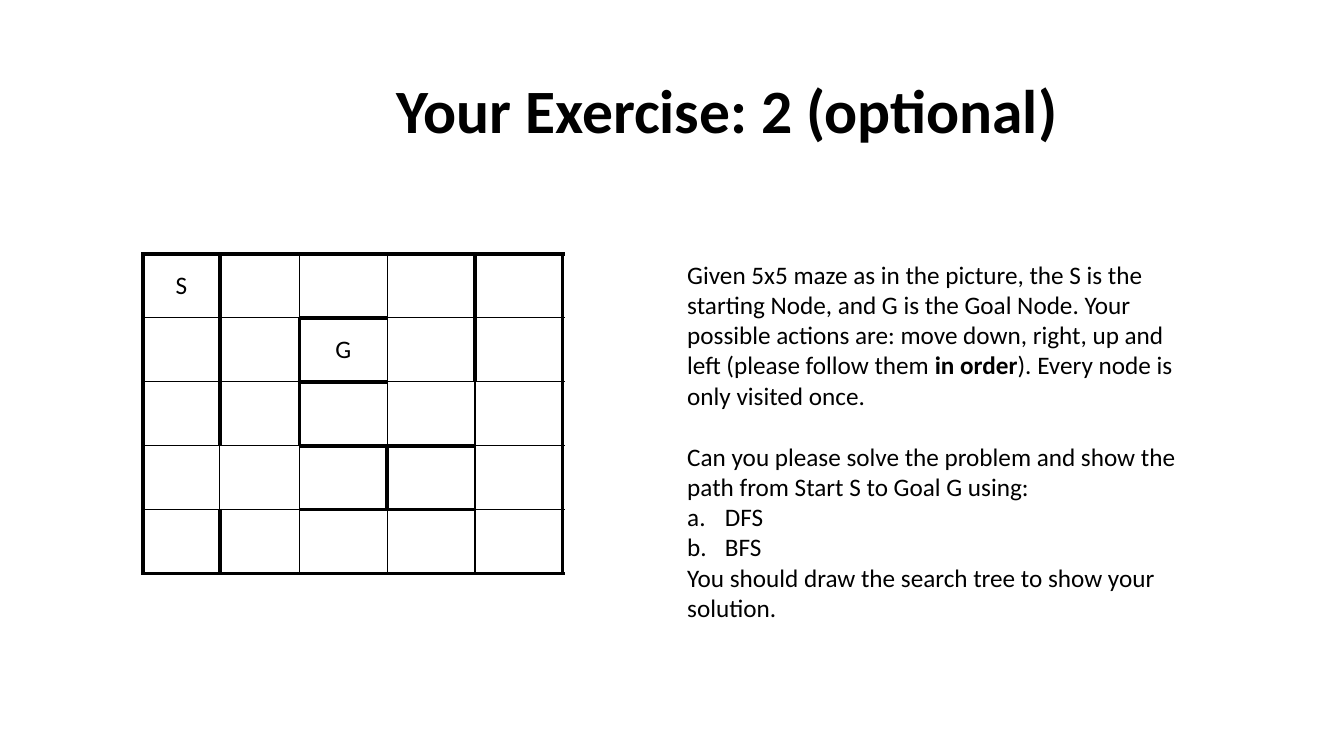
from dataclasses import dataclass
from lxml import etree
from pptx import Presentation
from pptx.dml.color import RGBColor
from pptx.enum.text import MSO_ANCHOR, MSO_AUTO_SIZE, PP_ALIGN
from pptx.oxml.ns import qn
from pptx.util import Cm, Pt

MIDDLE = MSO_ANCHOR.MIDDLE
CENTER = PP_ALIGN.CENTER
GROW = MSO_AUTO_SIZE.SHAPE_TO_FIT_TEXT

TITLE = "Your Exercise: 2 (optional)"
MARKS = {(0, 0): "S", (1, 2): "G"}
SIDES = ("a:lnL", "a:lnT", "a:lnR", "a:lnB")
ORDER = (0, 2, 1, 3)
WALLS = [
    ["3331", "3311", "1313", "1331", "3331"],
    ["3131", "3131", "3313", "1131", "3131"],
    ["3131", "3131", "3313", "1113", "1131"],
    ["3111", "1111", "1333", "3313", "1131"],
    ["3133", "3113", "1313", "1313", "1133"],
]
WIDTHS = [1.93, 2.01, 2.21, 2.21, 2.21]
ROW = 1.61
TASK = [
    ("intro", ["Given 5x5 maze as in the picture, the S is the starting Node, "
               "and G is the Goal Node. Your possible actions are: move down, "
               "right, up and left (please follow them ",
               "in order",
               "). Every node is only visited once."]),
    ("gap", ["Can you please solve the problem and show the path from "
             "Start S to Goal G using:"]),
    ("list", ["DFS"]),
    ("list", ["BFS"]),
    ("plain", ["You should draw the search tree to show your solution."]),
]
BOLD = "in order"


@dataclass
class Theme:
    font: str = "Calibri"
    ink: str = "000000"
    head: int = 44
    body: int = 18
    gap: int = 22
    dent: float = 0.95


THEME = Theme()


def style(run, size, bold=False):
    run.font.name = THEME.font
    run.font.size = Pt(size)
    run.font.bold = bold
    run.font.color.rgb = RGBColor.from_string(THEME.ink)


def add_box(slide, left, top, width, height):
    box = slide.shapes.add_textbox(Cm(left), Cm(top), Cm(width), Cm(height))
    box.text_frame.word_wrap = True
    return box.text_frame


def add_title(slide):
    frame = add_box(slide, 5.11, 1.02, 26.44, 3.68)
    frame.vertical_anchor = MIDDLE
    frame.text = TITLE
    para = frame.paragraphs[0]
    para.alignment = CENTER
    para.line_spacing = 0.9
    style(para.runs[0], THEME.head, True)


def set_walls(cell, walls):
    props = cell._tc.get_or_add_tcPr()
    for spot, side in enumerate(ORDER):
        line = etree.Element(qn(SIDES[side]), w=str(Pt(int(walls[side]))))
        fill = etree.SubElement(line, qn("a:solidFill"))
        etree.SubElement(fill, qn("a:srgbClr"), val=THEME.ink)
        props.insert(spot, line)


def add_maze(slide):
    rows, cols = len(WALLS), len(WIDTHS)
    maze = slide.shapes.add_table(rows, cols, Cm(3.61), Cm(6.4),
                                  Cm(sum(WIDTHS)), Cm(ROW * rows)).table
    maze.first_row = False
    maze.horz_banding = False
    for col, width in zip(maze.columns, WIDTHS):
        col.width = Cm(width)
    for r, line in enumerate(WALLS):
        maze.rows[r].height = Cm(ROW)
        for c, walls in enumerate(line):
            cell = maze.cell(r, c)
            cell.fill.background()
            cell.vertical_anchor = MIDDLE
            set_walls(cell, walls)
            if (r, c) in MARKS:
                cell.text = MARKS[r, c]
                para = cell.text_frame.paragraphs[0]
                para.alignment = CENTER
                style(para.runs[0], THEME.body)


def add_task(slide):
    frame = add_box(slide, 17.07, 6.4, 13.41, 9.5)
    frame.auto_size = GROW
    for n, (kind, parts) in enumerate(TASK):
        para = frame.add_paragraph() if n else frame.paragraphs[0]
        for part in parts:
            run = para.add_run()
            run.text = part
            style(run, THEME.body, part == BOLD)
        if kind == "gap":
            para.space_before = Pt(THEME.gap)
        if kind == "list":
            props = para._p.get_or_add_pPr()
            props.set("marL", str(Cm(THEME.dent)))
            props.set("indent", str(-Cm(THEME.dent)))
            etree.SubElement(props, qn("a:buAutoNum"), type="alphaLcPeriod")


def main():
    deck = Presentation()
    deck.slide_width = Cm(33.87)
    deck.slide_height = Cm(19.05)
    slide = deck.slides.add_slide(deck.slide_layouts[6])
    add_title(slide)
    add_maze(slide)
    add_task(slide)
    deck.save("out.pptx")


if __name__ == "__main__":
    main()
